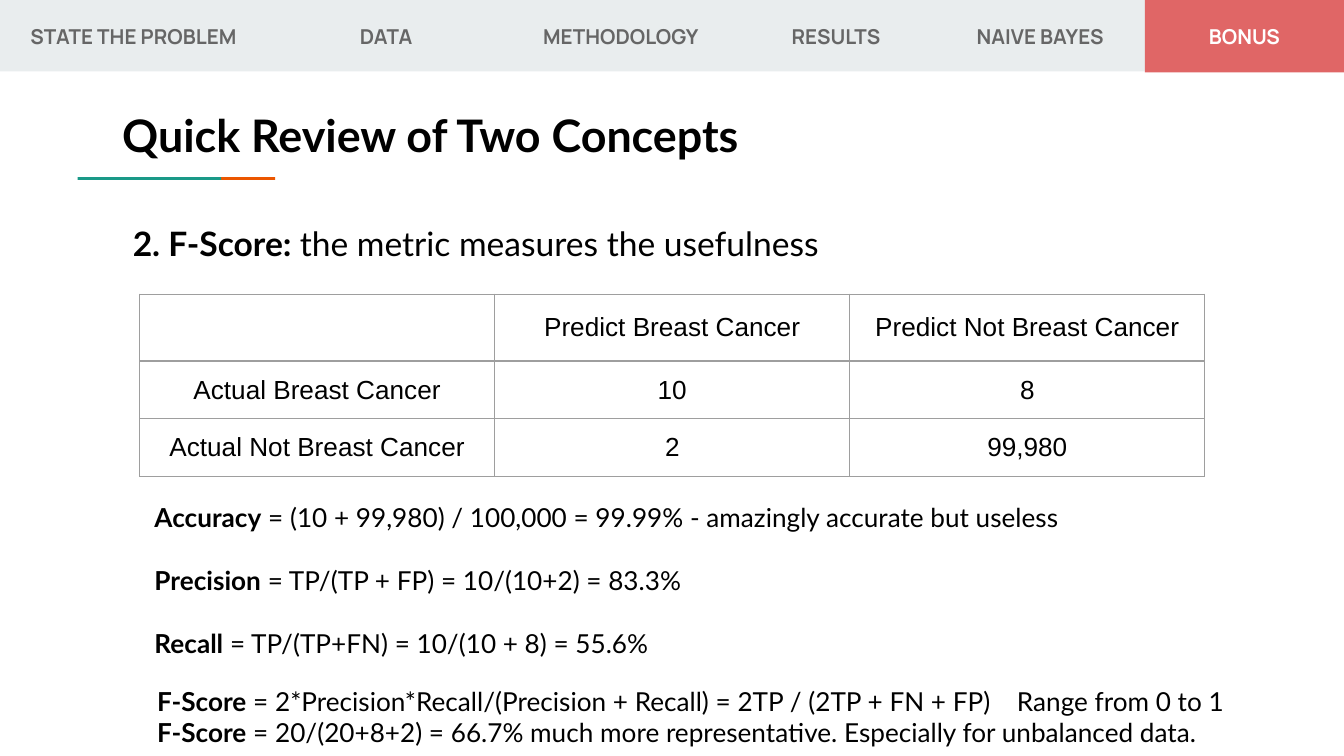
import itertools

import pptx
import pptx.dml.color
import pptx.enum.shapes
import pptx.enum.text
import pptx.oxml.ns
import pptx.util
from lxml import etree

Cm, Pt = pptx.util.Cm, pptx.util.Pt
ALIGN = pptx.enum.text.PP_ALIGN
ANCHOR = pptx.enum.text.MSO_ANCHOR
qn = pptx.oxml.ns.qn

COLORS = {
    "band": "E9EDEE",
    "tab": "666666",
    "active": "E06666",
    "white": "FFFFFF",
    "black": "000000",
    "teal": "1A9988",
    "orange": "EB5600",
    "border": "9E9E9E",
}
INSET = Cm(0.25)

SECTIONS = ["STATE THE PROBLEM", "DATA", "METHODOLOGY", "RESULTS", "NAIVE BAYES", "BONUS"]
SECTION_EDGES = [0, 5.05, 9.55, 13.92, 17.68, 21.64, 25.4]
CONFUSION = [
    ["", "Predict Breast Cancer", "Predict Not Breast Cancer"],
    ["Actual Breast Cancer", "10", "8"],
    ["Actual Not Breast Cancer", "2", "99,980"],
]
METRICS = [
    ("Accuracy", " = (10 + 99,980) / 100,000 = 99.99% - amazingly accurate but useless"),
    ("Precision", " = TP/(TP + FP) = 10/(10+2) = 83.3%"),
    ("Recall", " = TP/(TP+FN) = 10/(10 + 8) = 55.6%"),
]
F_SCORE = [
    ("F-Score", " = 2*Precision*Recall/(Precision + Recall) = 2TP / (2TP + FN + FP)\tRange from 0 to 1"),
    ("F-Score", " = 20/(20+8+2) = 66.7% much more representative. Especially for unbalanced data."),
]


def rgb(name):
    return pptx.dml.color.RGBColor.from_string(COLORS[name])


def write(frame, lines, size=14, font="Lato", color="black", align=ALIGN.LEFT,
          anchor=ANCHOR.TOP, gap=0, tab=None, left_inset=INSET):
    """Fill a text frame; each line is a pair of bold and regular text."""
    frame.word_wrap = True
    frame.vertical_anchor = anchor
    frame.margin_left = left_inset
    frame.margin_right = frame.margin_top = frame.margin_bottom = INSET
    for index, line in enumerate(lines):
        paragraph = frame.add_paragraph() if index else frame.paragraphs[0]
        paragraph.alignment = align
        if index and gap:
            paragraph.space_before = Pt(gap)
        if tab:
            stops = etree.SubElement(paragraph._p.get_or_add_pPr(), qn("a:tabLst"))
            etree.SubElement(stops, qn("a:tab"), pos=str(tab), algn="l")
        for text, bold in zip(line, (True, False)):
            if text:
                run = paragraph.add_run()
                run.text = text
                run.font.name = font
                run.font.size = Pt(size)
                run.font.bold = bold
                run.font.color.rgb = rgb(color)


def add_text(slide, left, top, width, height, lines, **style):
    box = slide.shapes.add_textbox(Cm(left), Cm(top), Cm(width), Cm(height))
    write(box.text_frame, lines, **style)


def add_bar(slide, left, top, width, height, color):
    bar = slide.shapes.add_shape(pptx.enum.shapes.MSO_SHAPE.RECTANGLE,
                                 Cm(left), Cm(top), Cm(width), Cm(height))
    bar.shadow.inherit = False
    bar.fill.solid()
    bar.fill.fore_color.rgb = rgb(color)
    bar.line.fill.background()
    return bar


def add_navigation(slide):
    height = 1.37
    add_bar(slide, 0, 0, 25.4, 1.35, "band")
    style = dict(size=11, font="Manrope", align=ALIGN.CENTER, anchor=ANCHOR.MIDDLE)
    for section, (left, right) in zip(SECTIONS, itertools.pairwise(SECTION_EDGES)):
        if section == "BONUS":
            active = add_bar(slide, left, 0, right - left, height, "active")
            write(active.text_frame, [(section, "")], color="white", **style)
        else:
            add_text(slide, left, 0, right - left, height, [(section, "")],
                     color="tab", **style)


def add_borders(cell):
    properties = cell._tc.get_or_add_tcPr()
    for side in ("lnL", "lnR", "lnT", "lnB"):
        line = etree.SubElement(properties, qn(f"a:{side}"), w=str(Pt(0.75)))
        fill = etree.SubElement(line, qn("a:solidFill"))
        etree.SubElement(fill, qn("a:srgbClr"), val=COLORS["border"])


def add_confusion_matrix(slide):
    heights = [1.22, 1.06, 1.06]
    column_width = 6.71
    table = slide.shapes.add_table(3, 3, Cm(2.64), Cm(5.56), Cm(3 * column_width),
                                   Cm(sum(heights))).table
    table.first_row = table.horz_banding = False
    for column in table.columns:
        column.width = Cm(column_width)
    for row, height, labels in zip(table.rows, heights, CONFUSION):
        row.height = Cm(height)
        for cell, label in zip(row.cells, labels):
            add_borders(cell)
            cell.fill.background()
            write(cell.text_frame, [("", label)], font="Arial", align=ALIGN.CENTER)
            cell.vertical_anchor = ANCHOR.MIDDLE
            cell.margin_left = cell.margin_right = INSET
            cell.margin_top = cell.margin_bottom = INSET


def main():
    deck = pptx.Presentation()
    deck.slide_width, deck.slide_height = Cm(25.4), Cm(14.29)
    slide = deck.slides.add_slide(deck.slide_layouts[6])

    add_navigation(slide)
    add_bar(slide, 4.18, 3.35, 1.02, 0.05, "orange")
    add_bar(slide, 1.47, 3.35, 2.71, 0.05, "teal")
    add_text(slide, 1.9, 1.78, 16.33, 1.57, [("Quick Review of Two Concepts", "")],
             size=24, left_inset=Cm(0.41))
    add_text(slide, 2.26, 3.97, 20.88, 1.36,
             [("2. F-Score: ", "the metric measures the usefulness")], size=18)
    add_confusion_matrix(slide)
    add_text(slide, 2.67, 9.22, 21.31, 3.2, METRICS, gap=17)
    add_text(slide, 2.72, 12.7, 21.31, 1.47, F_SCORE, tab=Cm(16.25))

    deck.save("out.pptx")


if __name__ == "__main__":
    main()
